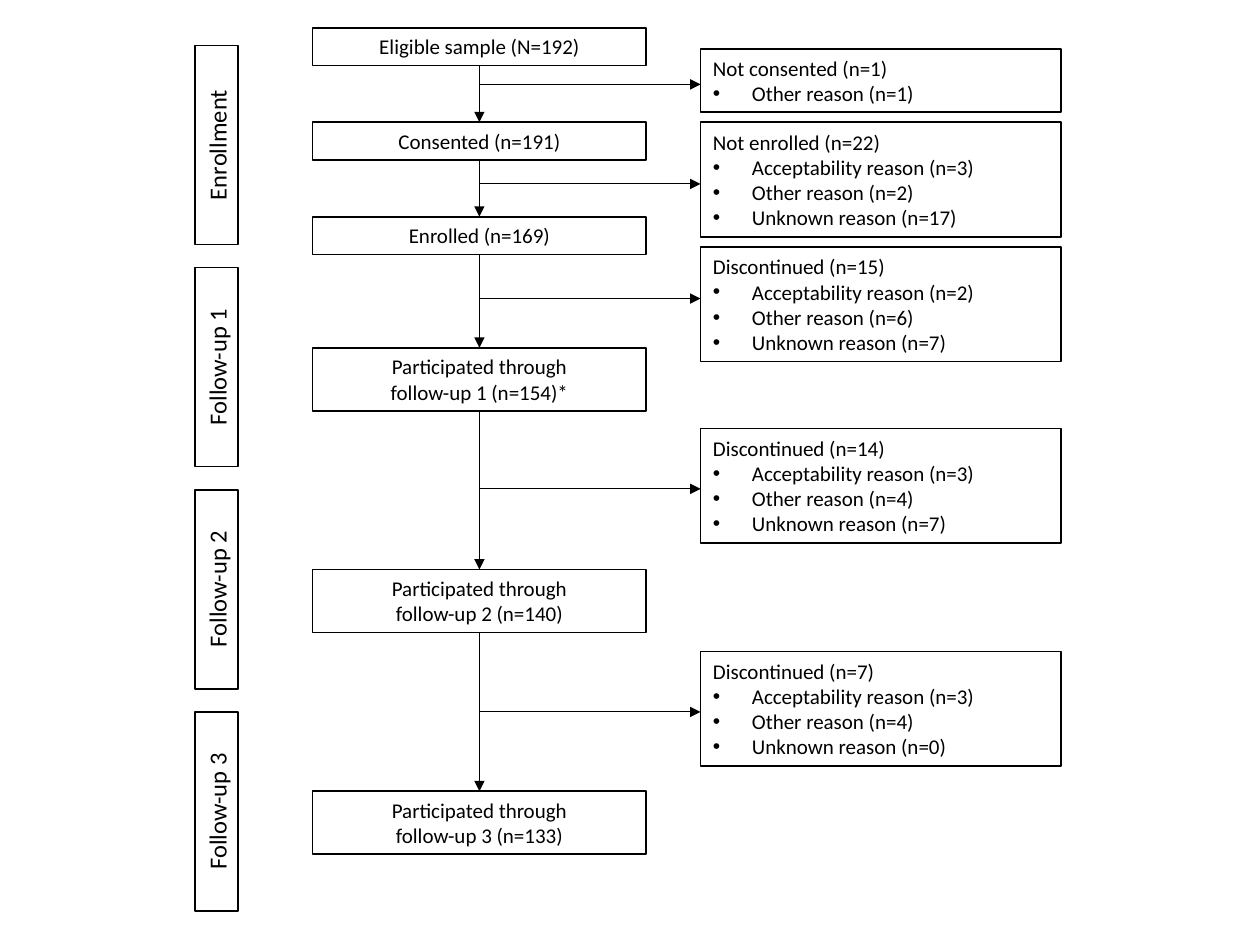
from itertools import pairwise

from lxml.etree import SubElement
from pptx import Presentation
from pptx.dml.color import RGBColor
from pptx.enum.shapes import MSO_CONNECTOR as Connector, MSO_SHAPE as Shape
from pptx.enum.text import MSO_AUTO_SIZE as AutoSize, PP_ALIGN as Align
from pptx.oxml.ns import qn
from pptx.util import Inches, Pt

COLORS = {"ink": "000000", "paper": "FFFFFF"}

STAGES = ["Enrollment", "Follow-up 1", "Follow-up 2", "Follow-up 3"]
STAGE_TOP, STAGE_STEP = 0.98, 1.763

STEP_LEFT, STEP_WIDTH = 2.48, 2.65
STEP_CENTER = STEP_LEFT + STEP_WIDTH / 2
STEPS = [  # top, height, lines
    (0.22, 0.3, ["Eligible sample (N=192)"]),
    (0.97, 0.3, ["Consented (n=191)"]),
    (1.72, 0.3, ["Enrolled (n=169)"]),
    (2.76, 0.5, ["Participated through", "follow-up 1 (n=154)*"]),
    (4.52, 0.5, ["Participated through", "follow-up 2 (n=140)"]),
    (6.28, 0.5, ["Participated through", "follow-up 3 (n=133)"]),
]

EXIT_LEFT, EXIT_WIDTH = 5.56, 2.86
REASONS = ["Acceptability", "Other", "Unknown"]
EXITS = [  # top, height, arrow height, heading, count for each reason
    (0.39, 0.5, 0.67, "Not consented (n=1)", {"Other": 1}),
    (0.97, 0.91, 1.46, "Not enrolled (n=22)", dict(zip(REASONS, (3, 2, 17)))),
    (1.96, 0.91, 2.37, "Discontinued (n=15)", dict(zip(REASONS, (2, 6, 7)))),
    (3.4, 0.91, 3.88, "Discontinued (n=14)", dict(zip(REASONS, (3, 4, 7)))),
    (5.17, 0.91, 5.65, "Discontinued (n=7)", dict(zip(REASONS, (3, 4, 0)))),
]


def color(name):
    return RGBColor.from_string(COLORS[name])


class FlowChart:
    """Holds the current slide and the style shared by its elements."""

    font_format = {"name": "Calibri", "size": Pt(12), "bold": False}
    frame_format = {"word_wrap": True, "auto_size": AutoSize.SHAPE_TO_FIT_TEXT}
    margin_format = {"margin_left": Inches(0.1), "margin_right": Inches(0.1),
                     "margin_top": Inches(0.05), "margin_bottom": Inches(0.05)}
    bullet_indent = Inches(0.31)

    def __init__(self, slide):
        self.slide = slide

    def box(self, left, top, width, height, lines, align=Align.CENTER, **font):
        shape = self.slide.shapes.add_shape(
            Shape.RECTANGLE, *map(Inches, (left, top, width, height)))
        shape.shadow.inherit = False
        shape.fill.solid()
        shape.fill.fore_color.rgb = color("paper")
        shape.line.color.rgb = color("ink")
        shape.line.width = Pt(1)
        frame = shape.text_frame
        for name, value in (self.frame_format | self.margin_format).items():
            setattr(frame, name, value)
        for index, line in enumerate(lines):
            paragraph = frame.paragraphs[0] if index == 0 else frame.add_paragraph()
            paragraph.alignment = align
            run = paragraph.add_run()
            run.text = line
            run.font.color.rgb = color("ink")
            for name, value in (self.font_format | font).items():
                setattr(run.font, name, value)
        return shape

    def stage(self, top, text):
        self.box(0.93, top, 1.58, 0.34, [text], size=Pt(14)).rotation = 270

    def exit_box(self, top, height, heading, counts):
        reasons = [f"{reason} reason (n={count})" for reason, count in counts.items()]
        shape = self.box(EXIT_LEFT, top, EXIT_WIDTH, height,
                         [heading, *reasons], Align.LEFT)
        for paragraph in shape.text_frame.paragraphs[1:]:
            self.bullet(paragraph)

    def bullet(self, paragraph):
        properties = paragraph._p.get_or_add_pPr()
        properties.set("marL", str(self.bullet_indent))
        properties.set("indent", str(-self.bullet_indent))
        SubElement(properties, qn("a:buFont"), typeface="Arial")
        SubElement(properties, qn("a:buChar"), char="•")

    def arrow(self, *ends):
        """Draw an arrow through ends: start x, start y, end x, end y."""
        connector = self.slide.shapes.add_connector(
            Connector.STRAIGHT, *map(Inches, ends))
        connector.line.color.rgb = color("ink")
        connector.line.width = Pt(0.5)
        SubElement(connector.line._get_or_add_ln(), qn("a:tailEnd"), type="triangle")
        SubElement(connector._element.spPr, qn("a:effectLst"))


def main():
    presentation = Presentation()
    presentation.slide_width = Inches(10)
    presentation.slide_height = Inches(7.5)
    chart = FlowChart(presentation.slides.add_slide(presentation.slide_layouts[6]))

    for index, text in enumerate(STAGES):
        chart.stage(STAGE_TOP + index * STAGE_STEP, text)
    for top, height, lines in STEPS:
        chart.box(STEP_LEFT, top, STEP_WIDTH, height, lines)
    for (top, height, _), (next_top, _, _) in pairwise(STEPS):
        chart.arrow(STEP_CENTER, top + height, STEP_CENTER, next_top)
    for top, height, arrow_top, heading, counts in EXITS:
        chart.exit_box(top, height, heading, counts)
        chart.arrow(STEP_CENTER, arrow_top, EXIT_LEFT, arrow_top)

    presentation.save("out.pptx")


if __name__ == "__main__":
    main()
